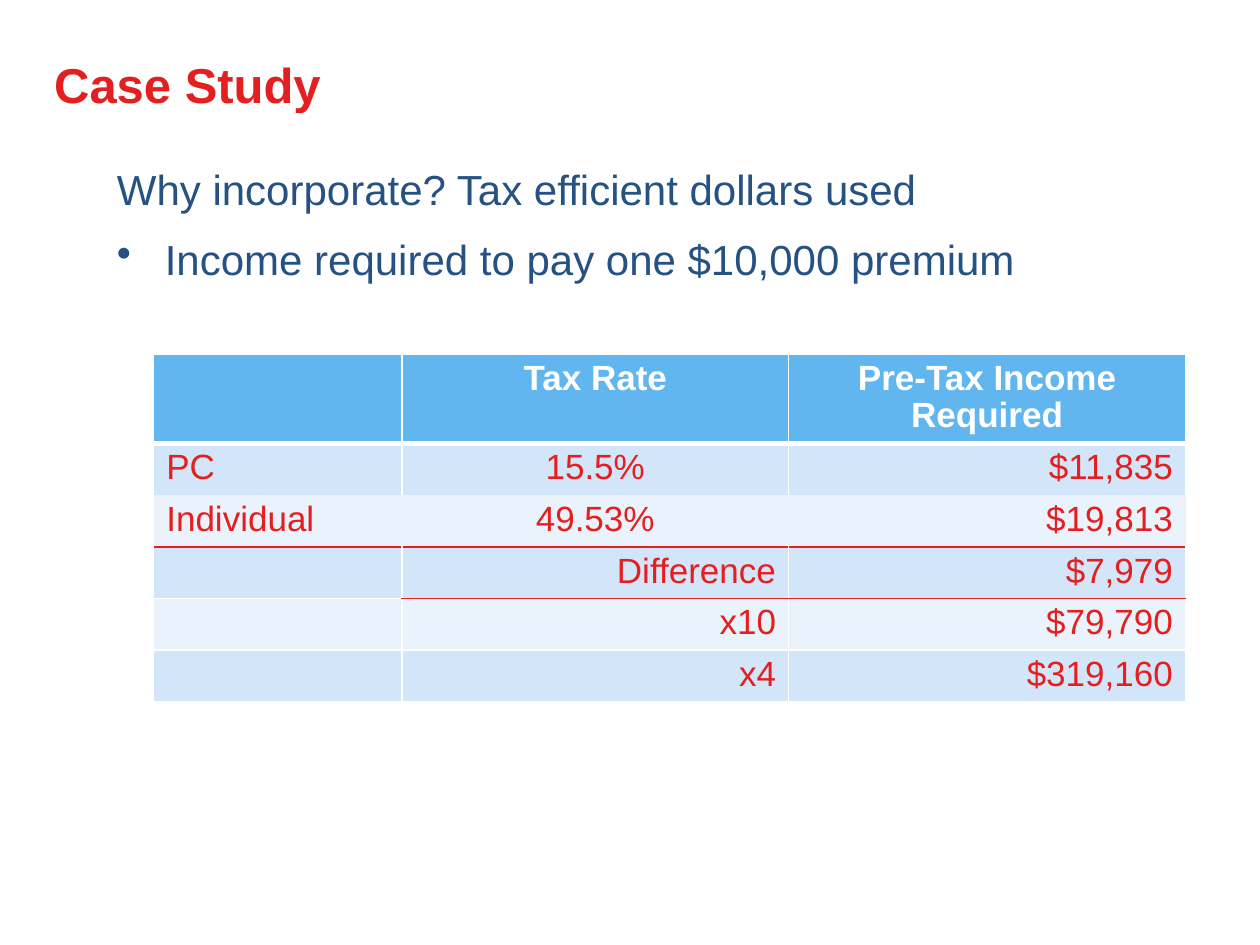
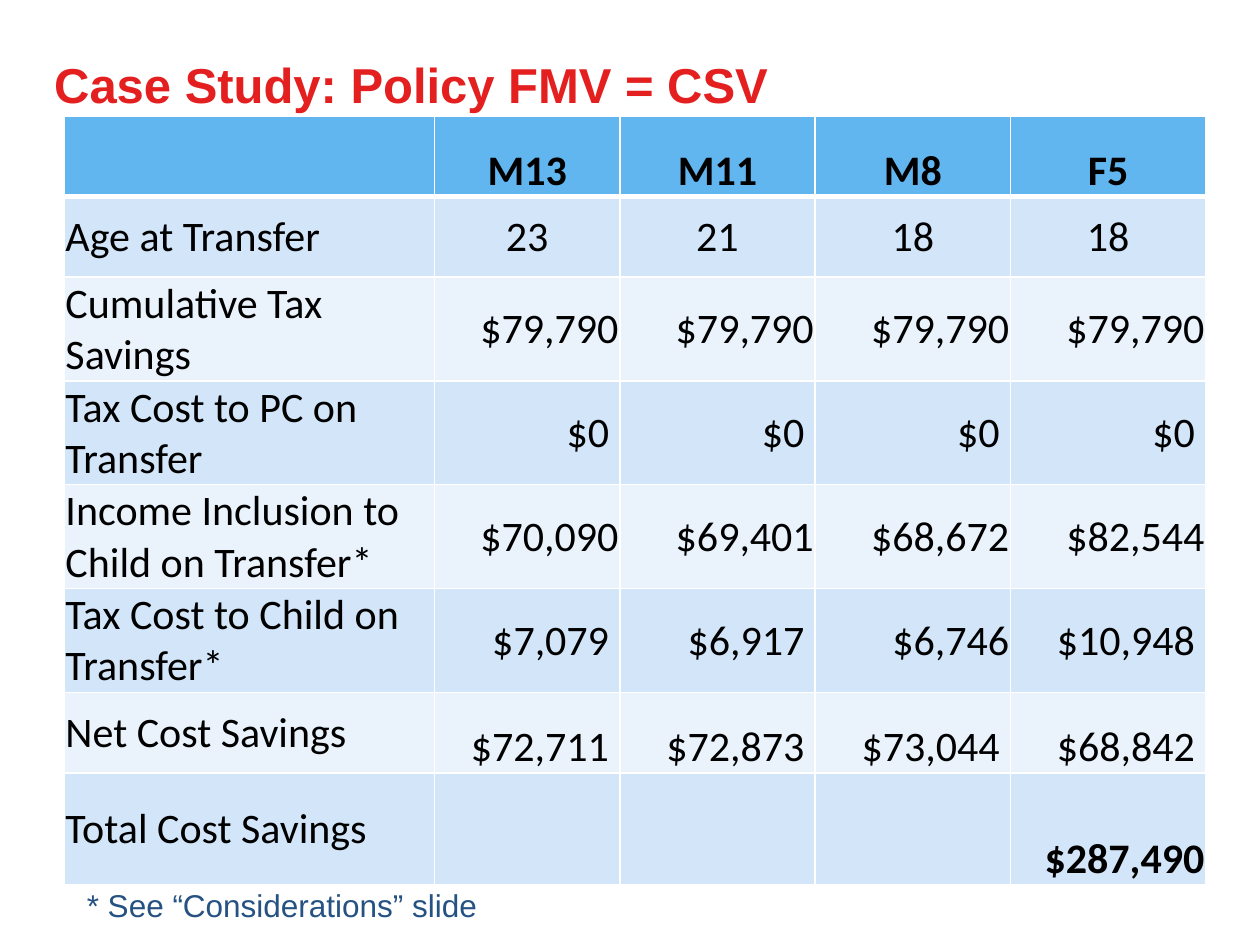
"""Build two case study slides on corporate-owned policies."""
from dataclasses import dataclass, field
from typing import NamedTuple, Optional

from lxml.etree import SubElement
from pptx import Presentation
from pptx.dml.color import RGBColor
from pptx.enum.text import MSO_ANCHOR as Anchor, MSO_AUTO_SIZE as AutoSize, PP_ALIGN as Align
from pptx.oxml.ns import qn
from pptx.util import Inches, Pt

RED, NAVY, WHITE, BLACK = "E41F1F", "255282", "FFFFFF", "000000"
HEADER_BLUE, BANDS = "62B6F0", ("D3E5F9", "EAF3FC")
SLIDE_WIDTH, SLIDE_HEIGHT = Inches(10), Inches(7.5)
GRID_COLUMNS, GRID_ROWS = 100, 75
TITLE_ONLY = 5
ALIGNS = {"l": Align.LEFT, "c": Align.CENTER, "r": Align.RIGHT}
ANCHORS = {"t": Anchor.TOP, "m": Anchor.MIDDLE, "b": Anchor.BOTTOM}


class Edge(NamedTuple):
    color: str
    points: float


class Area(NamedTuple):
    left: float
    top: float
    width: float
    height: float


class Row(NamedTuple):
    height: float
    texts: tuple
    aligns: str
    anchors: str
    bold: bool = False


THIN, THICK, RULE = Edge(WHITE, 1), Edge(WHITE, 3), Edge(RED, 1)


@dataclass
class TableDesign:
    left: float
    top: float
    columns: tuple
    rows: list
    font: str
    size: float
    header_color: str
    body_color: str
    margins: tuple
    line_spacing: float = 1.0
    open_rows: tuple = ()
    edges: dict = field(default_factory=dict)

    def horizontal_edge(self, boundary: int, column: int) -> Optional[Edge]:
        return self.edges.get((boundary, column), THICK if boundary == 1 else THIN)


TAX_RATES = TableDesign(
    left=12.2, top=28.1, columns=(19.7, 30.7, 31.5),
    font="Arial", size=20, header_color=WHITE, body_color=RED,
    margins=(0.1, 0.05, 0.1, 0.05), line_spacing=0.96, open_rows=(2,),
    edges={(2, column): None for column in range(3)}
    | {(3, column): RULE for column in range(3)}
    | {(4, column): RULE for column in (1, 2)},
    rows=[
        Row(7.1, ("", "Tax Rate", "Pre-Tax Income Required"), "lcc", "ttt", True),
        Row(4.1, ("PC", "15.5%", "$11,835"), "lcr", "ttt"),
        Row(4.1, ("Individual", "49.53%", "$19,813"), "lcr", "ttt"),
        Row(4.1, ("", "Difference", "$7,979"), "lrr", "ttt"),
        Row(4.1, ("", "x10", "$79,790"), "lrr", "ttt"),
        Row(4.1, ("", "x4", "$319,160"), "lrr", "ttt"),
    ],
)

TRANSFER_COSTS = TableDesign(
    left=5.1, top=9.2, columns=(29.4, 14.7, 15.5, 15.5, 15.5),
    font="Calibri", size=24, header_color=BLACK, body_color=BLACK,
    margins=(0.01, 0.01, 0.01, 0),
    rows=[
        Row(6.4, ("", "M13", "M11", "M8", "F5"), "lcccc", "bbbbb", True),
        Row(6.4, ("Age at Transfer", "23", "21", "18", "18"), "lcccc", "mmmmm"),
        Row(8.2, ("Cumulative Tax Savings", *["$79,790"] * 4), "lrrrr", "mmmmm"),
        Row(8.2, ("Tax Cost to PC on Transfer", *["$0 "] * 4), "lrrrr", "bmmmm"),
        Row(8.2, ("Income Inclusion to Child on Transfer*",
                  "$70,090", "$69,401", "$68,672", "$82,544"), "lrrrr", "bmmmm"),
        Row(8.2, ("Tax Cost to Child on Transfer*",
                  "$7,079 ", "$6,917 ", "$6,746", "$10,948 "), "lrrrr", "bmmmm"),
        Row(6.4, ("Net Cost Savings",
                  "$72,711 ", "$72,873 ", "$73,044 ", "$68,842 "), "lrrrr", "mbbbb"),
        Row(8.9, ("Total Cost Savings", "", "", "", "$287,490"), "lrrrr", "mbbbb"),
    ],
)
GRAND_TOTAL = "$287,490"


def rgb(color: str) -> RGBColor:
    return RGBColor.from_string(color)


def across(columns: float) -> int:
    return round(SLIDE_WIDTH * columns / GRID_COLUMNS)


def down(rows: float) -> int:
    return round(SLIDE_HEIGHT * rows / GRID_ROWS)


def box(area: Area) -> tuple:
    return across(area.left), down(area.top), across(area.width), down(area.height)


def write(paragraph, text: str, *, font: str = "Arial", size: float, color: str,
          bold: bool = False, align: Align = Align.LEFT, line_spacing: float = 1.0,
          space_before: float = 0) -> None:
    paragraph.alignment = align
    paragraph.line_spacing = line_spacing
    paragraph.space_before = Pt(space_before)
    run = paragraph.add_run()
    run.text = text
    run.font.name, run.font.size, run.font.bold = font, Pt(size), bold
    run.font.color.rgb = rgb(color)


def hang(paragraph, indent: float, bullet: str = "") -> None:
    properties = paragraph._p.get_or_add_pPr()
    properties.set("marL", str(Inches(indent)))
    properties.set("indent", str(-Inches(indent)))
    if bullet:
        SubElement(properties, qn("a:buChar")).set("char", bullet)


def add_titled_slide(presentation, title: str):
    slide = presentation.slides.add_slide(presentation.slide_layouts[TITLE_ONLY])
    shape = slide.shapes.title
    shape.left, shape.top, shape.width, shape.height = box(Area(3.3, 3.3, 91.7, 6.7))
    shape.text_frame.vertical_anchor = Anchor.MIDDLE
    write(shape.text_frame.paragraphs[0], title, size=28, color=RED, bold=True)
    return slide


def add_text_frame(slide, area: Area, auto_size: AutoSize = AutoSize.NONE):
    frame = slide.shapes.add_textbox(*box(area)).text_frame
    frame.word_wrap = True
    frame.auto_size = auto_size
    return frame


def draw_border(cell, side: str, edge: Optional[Edge]) -> None:
    line = SubElement(cell._tc.get_or_add_tcPr(), qn(f"a:ln{side}"))
    if edge is None:
        SubElement(line, qn("a:noFill"))
        return
    line.set("w", str(Pt(edge.points)))
    fill = SubElement(line, qn("a:solidFill"))
    SubElement(fill, qn("a:srgbClr")).set("val", edge.color)


def format_cell(cell, design: TableDesign, row: int, column: int) -> None:
    content = design.rows[row]
    side_edge = None if row in design.open_rows else THIN
    draw_border(cell, "L", side_edge)
    draw_border(cell, "R", side_edge)
    draw_border(cell, "T", design.horizontal_edge(row, column))
    draw_border(cell, "B", design.horizontal_edge(row + 1, column))
    cell.fill.solid()
    cell.fill.fore_color.rgb = rgb(BANDS[(row - 1) % 2] if row else HEADER_BLUE)
    text = content.texts[column]
    if not text:
        return
    (cell.margin_left, cell.margin_top,
     cell.margin_right, cell.margin_bottom) = map(Inches, design.margins)
    cell.vertical_anchor = ANCHORS[content.anchors[column]]
    write(cell.text_frame.paragraphs[0], text, font=design.font, size=design.size,
          color=design.body_color if row else design.header_color,
          bold=content.bold or text == GRAND_TOTAL,
          align=ALIGNS[content.aligns[column]], line_spacing=design.line_spacing)


def add_design_table(slide, design: TableDesign) -> None:
    area = Area(design.left, design.top, sum(design.columns),
                sum(row.height for row in design.rows))
    table = slide.shapes.add_table(len(design.rows), len(design.columns), *box(area)).table
    table.first_row = table.horz_banding = False
    for column, width in enumerate(design.columns):
        table.columns[column].width = across(width)
    for row, content in enumerate(design.rows):
        table.rows[row].height = down(content.height)
        for column in range(len(design.columns)):
            format_cell(table.cell(row, column), design, row, column)


def build_incorporation_slide(presentation) -> None:
    slide = add_titled_slide(presentation, "Case Study")
    frame = add_text_frame(slide, Area(8.3, 12.5, 86.7, 50.8))
    question, income = frame.paragraphs[0], frame.add_paragraph()
    write(question, "Why incorporate? Tax efficient dollars used",
          size=24, color=NAVY, space_before=11)
    hang(question, 0.38)
    write(income, "Income required to pay one $10,000 premium",
          size=24, color=NAVY, space_before=11)
    hang(income, 0.38, bullet="•")
    add_design_table(slide, TAX_RATES)


def build_transfer_slide(presentation) -> None:
    slide = add_titled_slide(presentation, "Case Study: Policy FMV = CSV")
    add_design_table(slide, TRANSFER_COSTS)
    footnote = add_text_frame(slide, Area(5.9, 69.8, 36.2, 4), AutoSize.SHAPE_TO_FIT_TEXT)
    write(footnote.paragraphs[0], "* See “Considerations” slide", size=18, color=NAVY)


def main() -> None:
    presentation = Presentation()
    presentation.slide_width, presentation.slide_height = SLIDE_WIDTH, SLIDE_HEIGHT
    build_incorporation_slide(presentation)
    build_transfer_slide(presentation)
    presentation.save("out.pptx")


if __name__ == "__main__":
    main()
